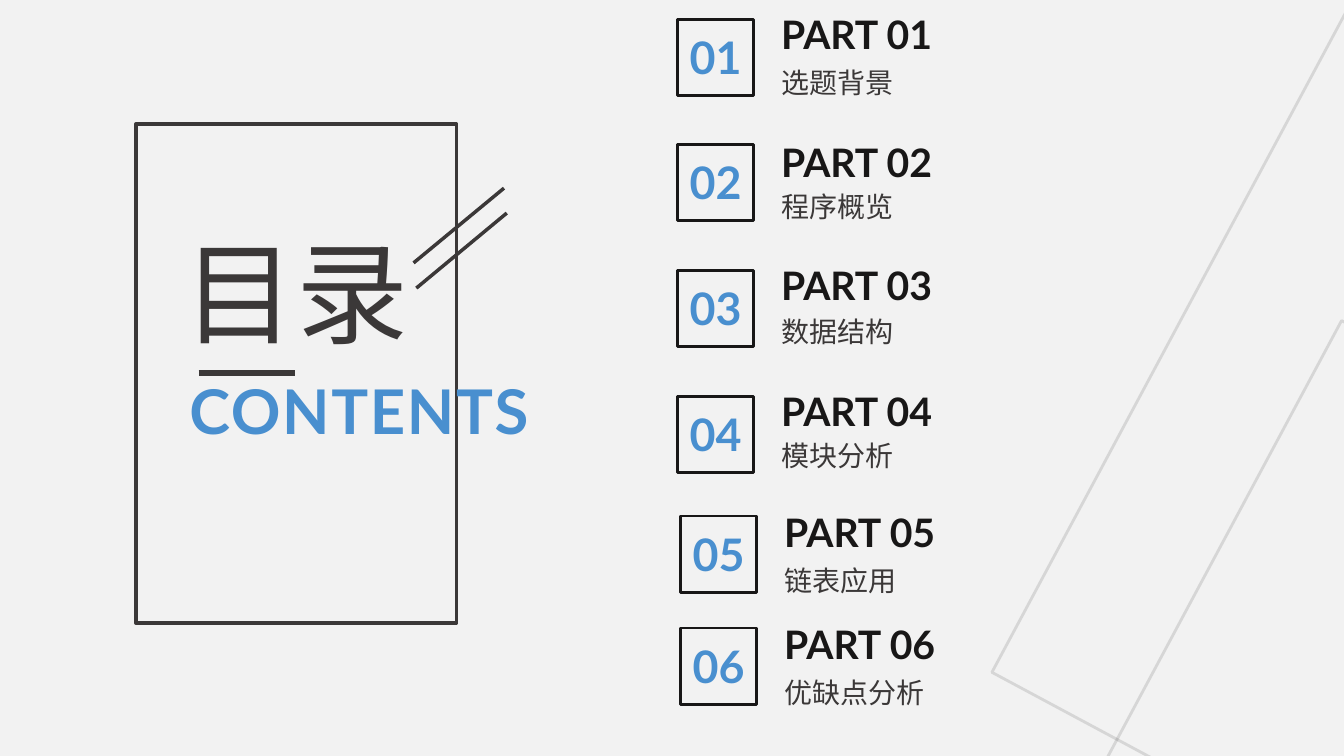
from lxml import etree
from pptx import Presentation
from pptx.dml.color import RGBColor
from pptx.enum.shapes import MSO_CONNECTOR, MSO_SHAPE
from pptx.enum.text import MSO_AUTO_SIZE, PP_ALIGN
from pptx.oxml.ns import qn
from pptx.util import Pt

LATIN, CJK = "Lato", "Noto Sans CJK SC"
PAPER, GREY, BLACK, BLUE = "F2F2F2", "3B3838", "181717", "498FCF"

# caption, left of the box, then the tops of box, heading and caption
PARTS = [
    ("选题背景", 483.8, 13.7, 3.6, 43.2),
    ("程序概览", 483.8, 103, 95, 131.8),
    ("数据结构", 483.8, 193, 182.9, 221),
    ("模块分析", 483.8, 283, 272.9, 309.6),
    ("链表应用", 486, 368.6, 359.3, 398.9),
    ("优缺点分析", 486, 448.6, 439.2, 478.8),
]
BOX = 54.7
NUMBER_DROP = 4.2
TEXT_SHIFT = 67

BACKDROP_SIZE = 540.7
BACKDROPS = [(804.2, 99.4), (798.5, 324.7)]
# x1, y1, x2, y2, width
STROKES = [
    (141.8, 266.4, 211, 266.4, 4),
    (360, 134.4, 295.4, 187.8, 2.5),
    (362, 152.2, 297.4, 205.8, 2.5),
]


def rgb(value):
    return RGBColor.from_string(value)


def add_frame(x, y, w, h, color, weight, rotation=0, opacity=None):
    """Add an unfilled rectangle; opacity is the line's, in percent."""
    sp = s.shapes.add_shape(MSO_SHAPE.RECTANGLE, Pt(x), Pt(y), Pt(w), Pt(h))
    sp.shadow.inherit = False
    sp.fill.background()
    sp.line.color.rgb = rgb(color)
    sp.line.width = Pt(weight)
    sp.rotation = rotation
    if opacity is not None:
        clr = sp.line._ln.find(".//" + qn("a:srgbClr"))
        etree.SubElement(clr, qn("a:alpha"), val=str(opacity * 1000))


def add_stroke(x1, y1, x2, y2, weight):
    line = s.shapes.add_connector(
        MSO_CONNECTOR.STRAIGHT, Pt(x1), Pt(y1), Pt(x2), Pt(y2))
    line.line.color.rgb = rgb(GREY)
    line.line.width = Pt(weight)
    etree.SubElement(line._element.spPr, qn("a:effectLst"))


def add_text(text, x, y, w, h, size, color, font=LATIN, bold=False,
             align=PP_ALIGN.LEFT, tracking=0, leading=None):
    tf = s.shapes.add_textbox(Pt(x), Pt(y), Pt(w), Pt(h)).text_frame
    tf.word_wrap = True
    tf.auto_size = MSO_AUTO_SIZE.SHAPE_TO_FIT_TEXT
    p = tf.paragraphs[0]
    p.alignment = align
    if leading:
        p.line_spacing = Pt(leading)
    r = p.add_run()
    r.text = text
    r.font.name = font
    r.font.size = Pt(size)
    r.font.bold = bold
    r.font.color.rgb = rgb(color)
    rpr = r.font._element
    etree.SubElement(rpr, qn("a:ea"), typeface=font)
    if tracking:
        rpr.set("spc", str(round(tracking * 100)))


prs = Presentation()
prs.slide_width, prs.slide_height = Pt(960), Pt(540)
s = prs.slides.add_slide(prs.slide_layouts[6])
s.background.fill.solid()
s.background.fill.fore_color.rgb = rgb(PAPER)

for x, y in BACKDROPS:
    add_frame(x, y, BACKDROP_SIZE, BACKDROP_SIZE, GREY, 2,
              rotation=298.2, opacity=15)

add_frame(97.2, 88.6, 229, 356.4, GREY, 2.5)
add_text("CONTENTS", 128.2, 262.8, 339.8, 60.5, 44, BLUE,
         bold=True, tracking=1.2)
add_text("目录", 123.8, 200.2, 299.5, 67.7, 80, GREY,
         font=CJK, tracking=1.3, leading=52)
for stroke in STROKES:
    add_stroke(*stroke)

for i, (caption, x, box_y, heading_y, caption_y) in enumerate(PARTS, 1):
    number = f"{i:02d}"
    add_frame(x, box_y, BOX, BOX, BLACK, 2)
    add_text(number, x, box_y + NUMBER_DROP, BOX, 46, 32, BLUE,
             bold=True, align=PP_ALIGN.CENTER)
    add_text(f"PART {number}", x + TEXT_SHIFT, heading_y, 162, 41, 28, BLACK,
             bold=True)
    add_text(caption, x + TEXT_SHIFT, caption_y, 245.5, 31.7, 20, GREY,
             font=CJK)

prs.save("out.pptx")
